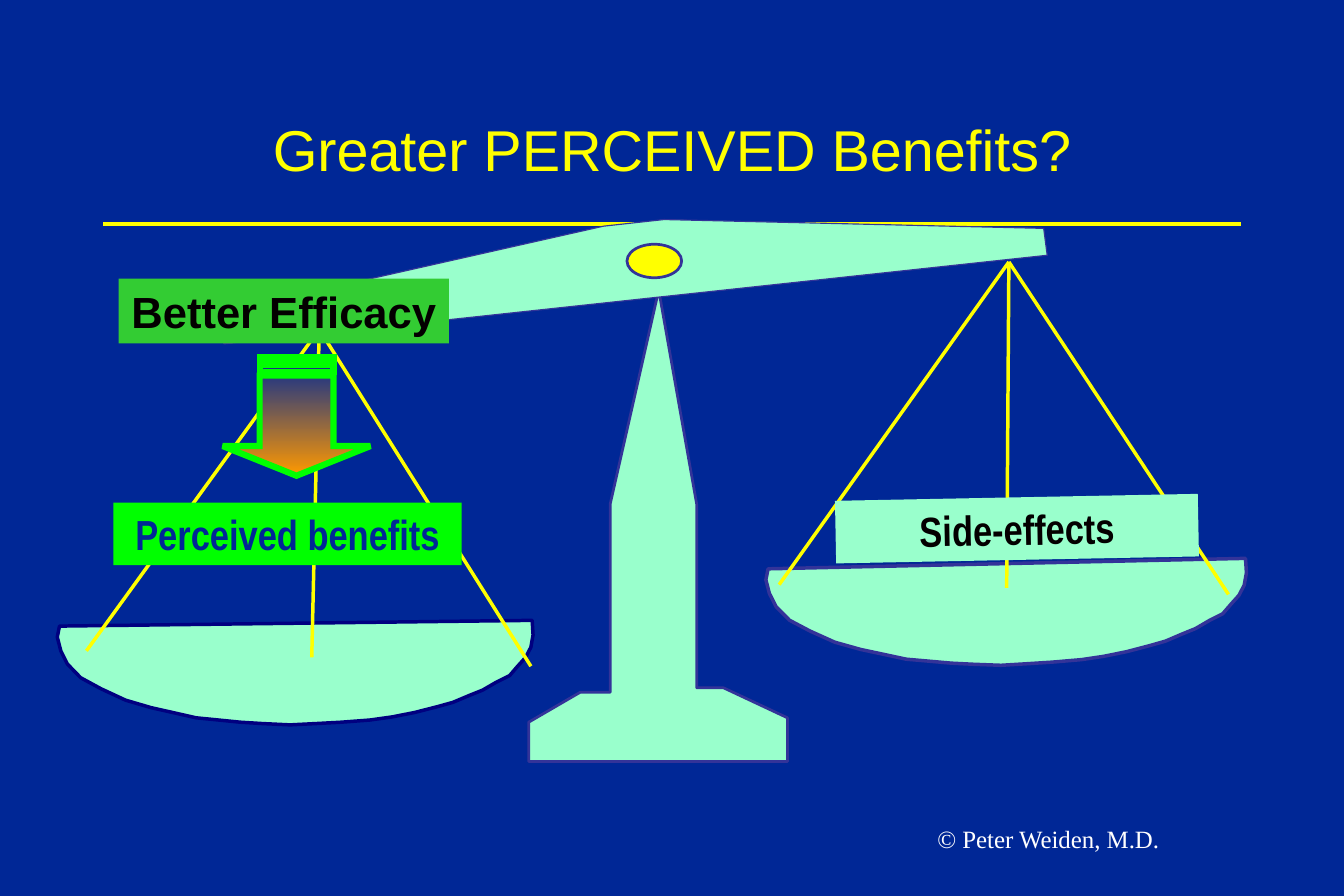
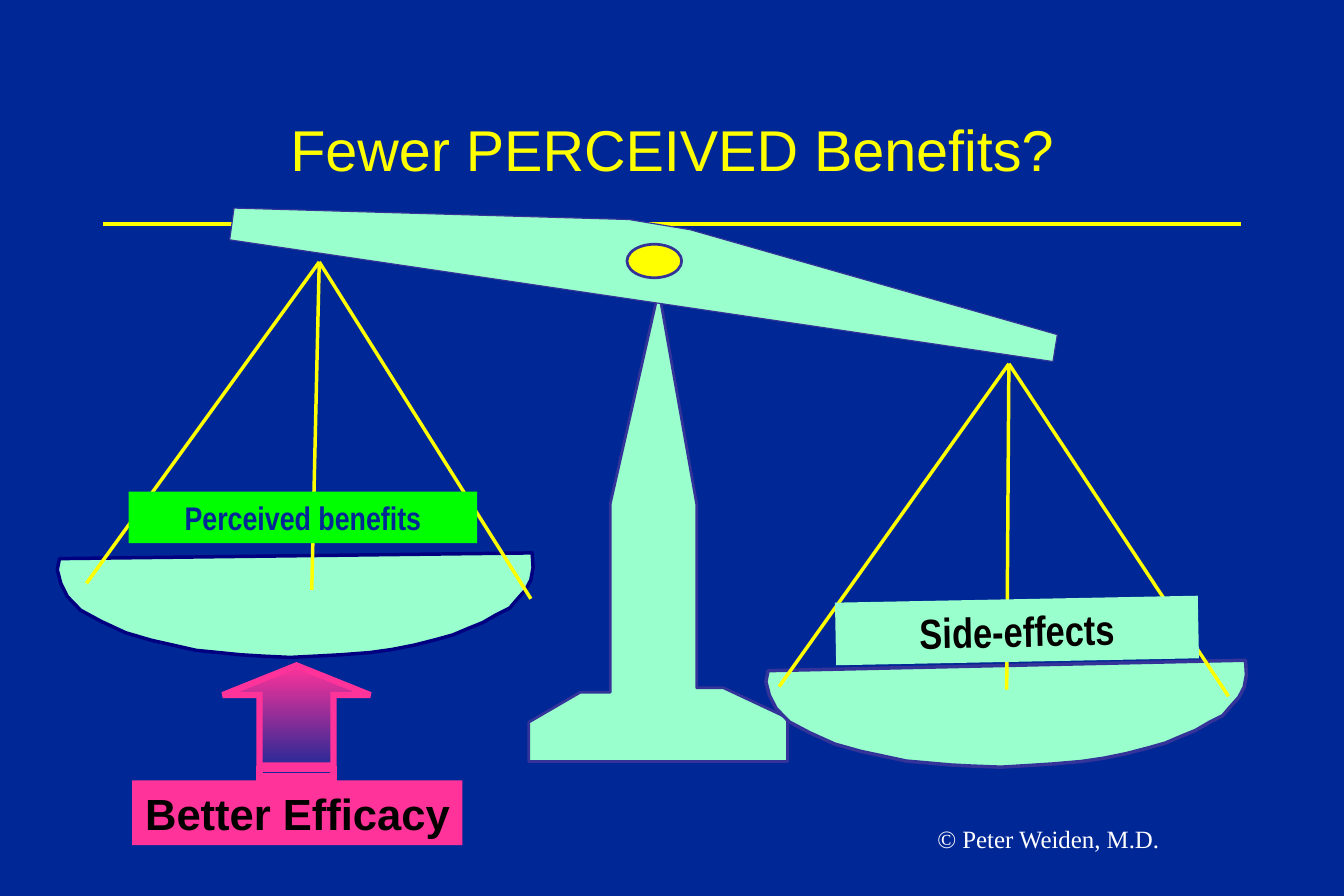
from dataclasses import dataclass

from lxml import etree
from pptx import Presentation
from pptx import util as u
from pptx.dml import color
from pptx.enum import shapes, text
from pptx.oxml import ns

Point = tuple[float, float]
Box = tuple[float, float, float, float]

NAVY, YELLOW, MINT, INDIGO = "002796", "FFFF00", "99FFCC", "333399"
DARK_BLUE, INK, WHITE, LIME = "000080", "030000", "FFFFFF", "00FF00"
GREEN, ORANGE, PINK = "33CC33", "FF9900", "FF3399"

TITLE_BOX = (2.29, 1.45, 25.91, 3.84)
CREDIT_BOX = (21.01, 18.54, 9.47, 0.94)
PIVOT_BOX = (14.22, 5.54, 1.24, 0.76)
STAND = [(14.94, 6.58), (15.8, 11.43), (15.8, 15.6), (16.41, 15.6),
         (17.86, 16.28), (17.86, 17.27), (11.99, 17.27), (11.99, 16.38),
         (13.16, 15.7), (13.84, 15.7), (13.84, 11.43)]
BOWL = [(0, 0), (-0.05, 0.25), (0.03, 0.56), (0.18, 0.86), (0.48, 1.17),
        (0.94, 1.42), (1.5, 1.68), (2.08, 1.85), (2.57, 1.96), (3.1, 2.08),
        (3.61, 2.13), (4.11, 2.18), (4.6, 2.21), (5.23, 2.24), (5.82, 2.21),
        (6.38, 2.18), (7.04, 2.13), (7.54, 2.06), (8.05, 1.96), (8.56, 1.83),
        (8.92, 1.73), (9.3, 1.57), (9.6, 1.45), (9.91, 1.27), (10.21, 1.12),
        (10.39, 0.91), (10.57, 0.71), (10.69, 0.48), (10.74, 0.2),
        (10.72, -0.13)]


@dataclass(frozen=True)
class Label:
    """A filled rectangle with one bold line of text."""
    words: str
    box: Box
    fill: str
    ink: str = INK
    size: float = 27
    font: str = "Arial Narrow"
    turn: float = 0
    wrap: bool = True


@dataclass(frozen=True)
class Pan:
    """A bowl on three wires, measured from the bowl's upper left corner."""
    x: float
    apex: Point
    ends: tuple[Point, ...]
    edge: str
    stretch: float = 1
    lift: float = 0


@dataclass(frozen=True)
class Arrow:
    """A striped arrow with a fading fill."""
    top: float
    turn: float
    tip: str
    edge: str


@dataclass(frozen=True)
class Scene:
    """One state of the balance."""
    title: str
    beam: list[Point]
    left_y: float
    right_y: float
    arrow: Arrow
    benefits: Label
    efficacy: Label


LEFT = Pan(1.35, (5.89, -6.73), ((5.72, 0.71), (10.69, 0.91), (0.61, 0.56)),
           DARK_BLUE)
RIGHT = Pan(17.42, (5.46, -6.96), ((5.41, 0.43), (10.44, 0.58), (0.25, 0.36)),
            INDIGO, 1.01, 0.01)


def efficacy(x: float, y: float, fill: str) -> Label:
    """Describe the efficacy label."""
    return Label("Better Efficacy", (x, y, 7.49, 1.47), fill, size=28,
                 font="Arial", wrap=False)


def benefits(x: float, y: float, height: float, size: float) -> Label:
    """Describe the benefits label."""
    return Label("Perceived benefits", (x, y, 7.9, height), LIME, NAVY, size)


SCENES = [
    Scene("Greater PERCEIVED Benefits?",
          [(5.08, 7.8), (23.75, 5.79), (23.67, 5.18), (15.06, 4.98),
           (13.69, 5.13), (5, 7.09)],
          14.2, 12.9, Arrow(7.77, 90, ORANGE, LIME),
          benefits(2.57, 11.4, 1.42, 27), efficacy(2.69, 6.32, GREEN)),
    Scene("Fewer PERCEIVED Benefits?",
          [(5.21, 5.44), (23.88, 8.2), (23.98, 7.59), (15.65, 5.21),
           (14.27, 4.98), (5.31, 4.72)],
          12.67, 15.21, Arrow(14.76, 270, PINK, PINK),
          benefits(2.92, 11.15, 1.17, 21), efficacy(3, 17.7, PINK)),
]


def rgb(value: str) -> color.RGBColor:
    """Turn a hex string into a colour."""
    return color.RGBColor.from_string(value)


def cms(values) -> list[u.Cm]:
    """Turn numbers into lengths."""
    return [u.Cm(v) for v in values]


def place(sp, box: Box) -> None:
    """Move and size a shape."""
    sp.left, sp.top, sp.width, sp.height = cms(box)


def outline(sp, tint: str, width: float) -> None:
    """Set the line of a shape or connector."""
    sp.line.color.rgb = rgb(tint)
    sp.line.width = u.Pt(width)


def paint(sp, fill: str, edge: str = "", width: float = 0) -> None:
    """Give a shape a plain fill and an optional line."""
    sp.shadow.inherit = False
    sp.fill.solid()
    sp.fill.fore_color.rgb = rgb(fill)
    if edge:
        outline(sp, edge, width)
    else:
        sp.line.fill.background()


def write(sp, words: str, font: str, size: float, tint: str,
          align=text.PP_ALIGN.CENTER, bold: bool = False,
          inset: Point = (0.28, 0.15), wrap: bool = True) -> None:
    """Put one formatted paragraph in a shape."""
    tf = sp.text_frame
    tf.word_wrap = wrap
    tf.auto_size = text.MSO_AUTO_SIZE.NONE
    tf.vertical_anchor = text.MSO_ANCHOR.MIDDLE
    tf.margin_left = tf.margin_right = u.Cm(inset[0])
    tf.margin_top = tf.margin_bottom = u.Cm(inset[1])
    p = tf.paragraphs[0]
    p.text = words
    p.alignment = align
    p.font.name, p.font.size, p.font.bold = font, u.Pt(size), bold
    p.font.color.rgb = rgb(tint)


def add_line(slide, start: Point, end: Point, width: float):
    """Draw a straight yellow line."""
    line = slide.shapes.add_connector(shapes.MSO_CONNECTOR.STRAIGHT,
                                      *cms(start + end))
    outline(line, YELLOW, width)
    etree.SubElement(line.element.spPr, ns.qn("a:effectLst"))
    return line


def add_outline(slide, points: list[Point], edge: str, width: float) -> None:
    """Draw a closed mint polygon."""
    start, *rest = [tuple(cms(p)) for p in points]
    builder = slide.shapes.build_freeform(*start)
    builder.add_line_segments(rest, close=True)
    paint(builder.convert_to_shape(), MINT, edge, width)


def add_label(slide, label: Label) -> None:
    """Draw a label."""
    sp = slide.shapes.add_shape(shapes.MSO_SHAPE.RECTANGLE, *cms(label.box))
    sp.rotation = label.turn
    paint(sp, label.fill)
    write(sp, label.words, label.font, label.size, label.ink, bold=True,
          wrap=label.wrap)


def add_pan(slide, pan: Pan, y: float) -> None:
    """Draw a bowl and its wires."""
    bowl = [(pan.x + px * pan.stretch, y + py - px * pan.lift)
            for px, py in BOWL]
    add_outline(slide, bowl, pan.edge, 2.25)
    apex = (pan.x + pan.apex[0], y + pan.apex[1])
    for dx, dy in pan.ends:
        add_line(slide, apex, (pan.x + dx, y + dy), 2.25)


def add_arrow(slide, arrow: Arrow) -> None:
    """Draw the striped arrow."""
    sp = slide.shapes.add_shape(shapes.MSO_SHAPE.STRIPED_RIGHT_ARROW,
                                *cms((5.38, arrow.top, 2.69, 3.35)))
    sp.adjustments[0], sp.adjustments[1] = 0.5, 0.25
    sp.rotation = arrow.turn
    sp.shadow.inherit = False
    sp.fill.gradient()
    sp.fill.gradient_angle = 0
    for stop, tint, position in zip(sp.fill.gradient_stops,
                                    (NAVY, arrow.tip), (0, 1)):
        stop.color.rgb = rgb(tint)
        stop.position = position
    outline(sp, arrow.edge, 4)
    ln = sp.element.spPr.find(ns.qn("a:ln"))
    etree.SubElement(ln, ns.qn("a:miter"), lim="800000")


def add_scene(prs, layout, scene: Scene):
    """Build one slide."""
    slide = prs.slides.add_slide(layout)
    write(slide.shapes.title, scene.title, "Arial", 37, YELLOW)
    add_outline(slide, STAND, INDIGO, 1.75)
    add_pan_order = ((LEFT, scene.left_y), (RIGHT, scene.right_y))
    add_outline(slide, scene.beam, INDIGO, 0.75)
    for pan, y in add_pan_order:
        add_pan(slide, pan, y)
    add_label(slide, scene.benefits)
    add_label(slide, Label("Side-effects",
                           (18.95, scene.right_y - 1.62, 8.23, 1.42),
                           MINT, turn=-1.1))
    pivot = slide.shapes.add_shape(shapes.MSO_SHAPE.OVAL, *cms(PIVOT_BOX))
    paint(pivot, YELLOW, INDIGO, 1.75)
    add_arrow(slide, scene.arrow)
    add_label(slide, scene.efficacy)
    credit = slide.shapes.add_textbox(*cms(CREDIT_BOX))
    write(credit, "© Peter Weiden, M.D.", "Times New Roman", 16, WHITE,
          text.PP_ALIGN.LEFT, inset=(0.25, 0.13))
    return slide


def main() -> None:
    """Build and save the presentation."""
    prs = Presentation()
    prs.slide_width, prs.slide_height = cms((30.48, 20.32))
    fill = prs.slide_master.background.fill
    fill.solid()
    fill.fore_color.rgb = rgb(NAVY)
    layout = prs.slide_layouts[5]
    place(layout.placeholders[0], TITLE_BOX)
    slides = [add_scene(prs, layout, scene) for scene in SCENES]
    rule = add_line(slides[0], (2.34, 5.08), (28.14, 5.08), 3)
    layout.shapes.element.append(rule.element)
    prs.save("out.pptx")


if __name__ == "__main__":
    main()
